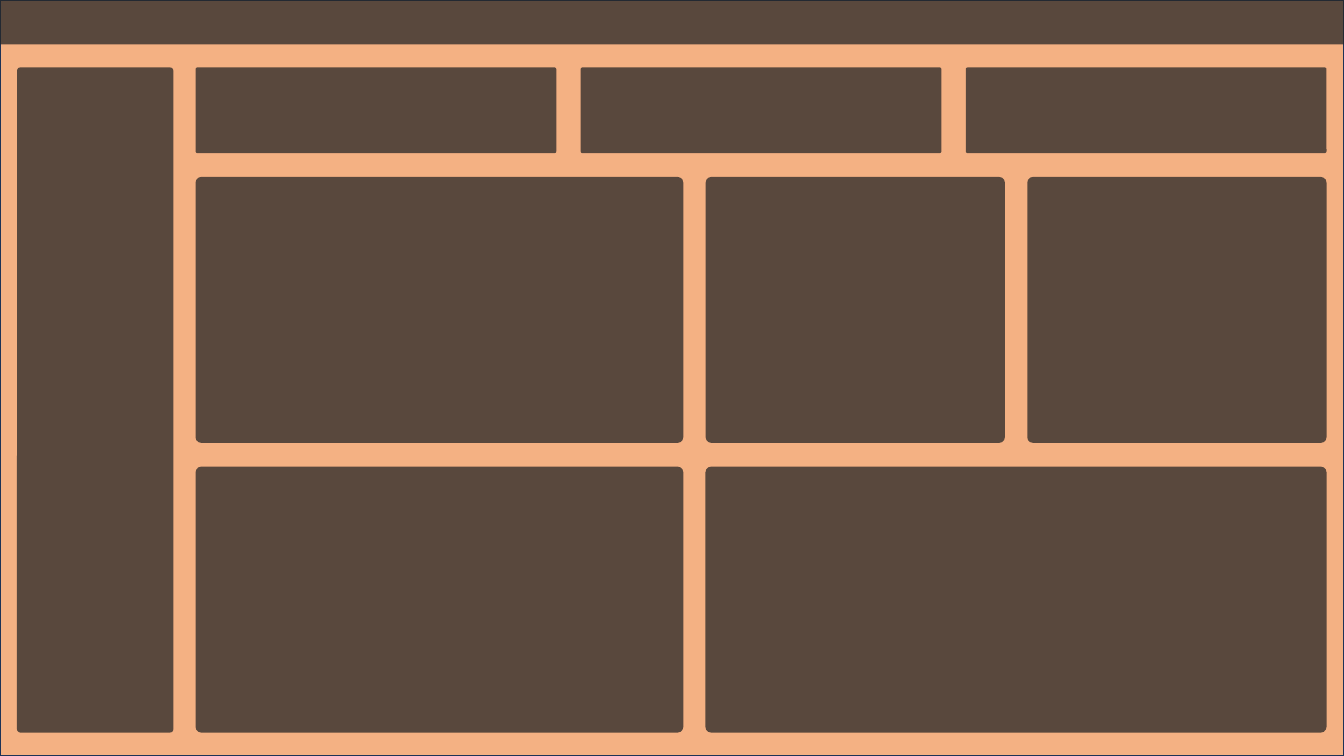
from lxml.etree import SubElement
from pptx import Presentation
from pptx.dml.color import RGBColor as Rgb
from pptx.enum.shapes import MSO_SHAPE as Kind
from pptx.oxml.ns import qn
from pptx.util import Cm, Pt

COLORS = {"back": "F4B183", "edge": "1E3256", "panel": "262626"}
WIDE, HIGH = 33.87, 19.05
BAR = 1.12  # header height
LEFT, RIGHT, TOP = 4.93, 33.43, 1.7  # card area
GAP = 0.6  # between rows
SIDE = (0.43, 3.94)  # left, width
ROWS = [  # height, card widths
    (2.16, [9.09, 9.09, 9.09]),
    (6.7, [12.29, 7.54, 7.54]),
    (6.7, [12.29, 15.65]),
]
ALPHA = 75
ROUND = 0.021


def add_box(slide, kind, x, y, w, h, color):
    box = slide.shapes.add_shape(kind, Cm(x), Cm(y), Cm(w), Cm(h))
    box.shadow.inherit = False
    box.fill.solid()
    box.fill.fore_color.rgb = Rgb.from_string(COLORS[color])
    box.line.fill.background()
    return box


def add_panel(slide, x, y, w, h, kind=Kind.ROUNDED_RECTANGLE):
    """Add a see-through dark box."""
    box = add_box(slide, kind, x, y, w, h, "panel")
    if kind == Kind.ROUNDED_RECTANGLE:
        box.adjustments[0] = ROUND
    tone = box.fill._xPr.find(qn("a:solidFill"))[0]
    SubElement(tone, qn("a:alpha"), val=str(ALPHA * 1000))


def main():
    deck = Presentation()
    deck.slide_width, deck.slide_height = Cm(WIDE), Cm(HIGH)
    slide = deck.slides.add_slide(deck.slide_layouts[6])

    back = add_box(slide, Kind.RECTANGLE, 0, 0, WIDE, HIGH, "back")
    back.line.color.rgb = Rgb.from_string(COLORS["edge"])
    back.line.width = Pt(1)
    add_panel(slide, 0, 0, WIDE, BAR, Kind.RECTANGLE)

    y = TOP
    for high, widths in ROWS:
        space = (RIGHT - LEFT - sum(widths)) / (len(widths) - 1)
        x = LEFT
        for wide in widths:
            add_panel(slide, x, y, wide, high)
            x += wide + space
        y += high + GAP
    add_panel(slide, SIDE[0], TOP, SIDE[1], y - GAP - TOP)

    deck.save("out.pptx")


if __name__ == "__main__":
    main()
